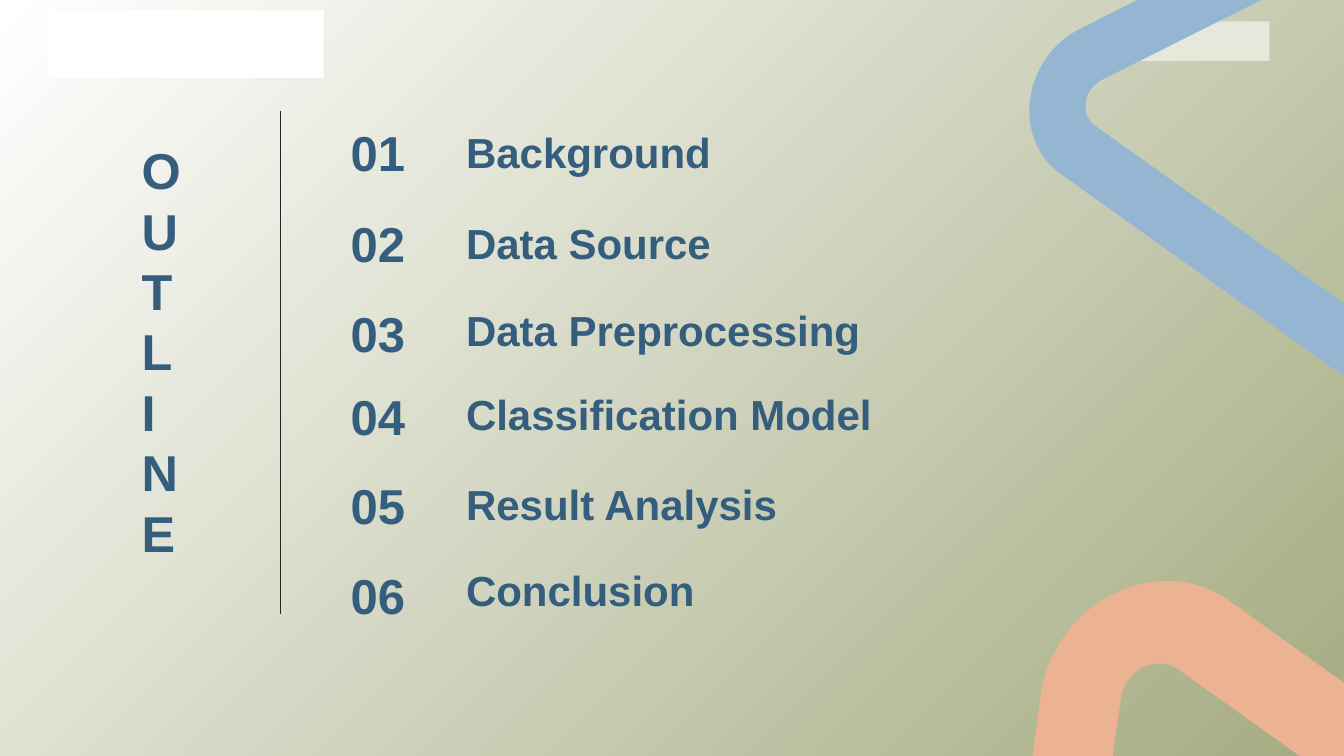
from lxml import etree
from pptx import Presentation
from pptx import util as u
from pptx.dml.color import RGBColor
from pptx.enum import shapes, text
from pptx.oxml.ns import qn

Pt = u.Pt
WIDTH, HEIGHT = 960, 540
NAVY = "355D7E"

# number top, heading top, heading width, heading
AGENDA = [
    (87.8, 90.7, 180, "Background"),
    (152.3, 155.2, 451, "Data Source"),
    (216.9, 217.4, 321, "Data Preprocessing"),
    (275.8, 277.6, 296, "Classification Model"),
    (339.5, 341.7, 230, "Result Analysis"),
    (403.9, 403.2, 170, "Conclusion"),
]

# Rounded corners of the triangular band: Bezier chains joined by straight sides
OUTER = [
    [(1108.8, -54), (1112.4, -76.3), (1102.3, -95.8), (1087.2, -106.6),
     (1072.1, -118.1), (1050.5, -120.2), (1030.3, -110.2)],
    [(769.7, 20.2), (728.6, 41), (720.7, 98.6), (756, 123.8)],
    [(977, 281.5), (1011.6, 306), (1063.4, 280.8), (1069.9, 234.7)],
]
INNER = [
    [(1030.3, 232.6), (1028.9, 241.9), (1023.1, 246.2), (1019.5, 248.4),
     (1015.2, 249.8), (1008.7, 252), (1001.5, 247)],
    [(780.5, 89.3), (773.3, 84.2), (773.3, 76.3), (774, 72.7),
     (774, 68.4), (776.9, 61.2), (784.8, 56.9)],
    [(1044.7, -73.4), (1053.4, -77.8), (1059.8, -74.9), (1062.7, -72.7),
     (1065.6, -70.6), (1070.6, -65.5), (1069.9, -56.2)],
]


def rgb(value):
    return RGBColor.from_string(value)


def paint(sp, color):
    sp.shadow.inherit = False
    sp.line.fill.background()
    sp.fill.solid()
    sp.fill.fore_color.rgb = rgb(color)


def add_rect(s, left, top, width, height, color):
    sp = s.shapes.add_shape(shapes.MSO_SHAPE.RECTANGLE,
                            Pt(left), Pt(top), Pt(width), Pt(height))
    paint(sp, color)
    return sp


def add_backdrop(s):
    sp = add_rect(s, 0, 0, WIDTH, HEIGHT, "FFFFFF")
    sp.fill.gradient()
    sp.fill.gradient_angle = 315
    for stop, color in zip(sp.fill.gradient_stops, ("FFFFFF", "A5AB81")):
        stop.color.rgb = rgb(color)


def add_label(s, left, top, width, height, content, size):
    sp = s.shapes.add_textbox(Pt(left), Pt(top), Pt(width), Pt(height))
    tf = sp.text_frame
    frame = dict(word_wrap=True, auto_size=text.MSO_AUTO_SIZE.NONE,
                 margin_left=0, margin_right=0, margin_top=0, margin_bottom=0)
    for name, value in frame.items():
        setattr(tf, name, value)
    p = tf.paragraphs[0]
    p.line_spacing = Pt(1.2 * size)
    r = p.add_run()
    r.text = content
    for name, value in dict(name="Arial", size=Pt(size), bold=True).items():
        setattr(r.font, name, value)
    r.font.color.rgb = rgb(NAVY)


def add_divider(s, x, top, bottom):
    line = s.shapes.add_connector(shapes.MSO_CONNECTOR.STRAIGHT,
                                  Pt(x), Pt(top), Pt(x), Pt(bottom))
    line.line.width = Pt(0.5)
    line.line.color.rgb = rgb("262626")
    etree.SubElement(line._element.spPr, qn("a:effectLst"))


def round_corners(sp, chains):
    """Turn the line segments inside each chain into cubic Bezier curves."""
    nodes = iter(list(sp._element.iter(qn("a:moveTo"), qn("a:lnTo"))))
    for chain in chains:
        next(nodes)
        for _ in range(len(chain) // 3):
            segments = [next(nodes) for _ in range(3)]
            curve = etree.Element(qn("a:cubicBezTo"))
            segments[0].addprevious(curve)
            for segment in segments:
                curve.append(segment[0])
                segment.getparent().remove(segment)


def add_band(s, color, scale, dx, dy):
    """Draw the rounded triangular band, scaled and then moved."""
    outer, inner = [[(Pt(dx + scale * x), Pt(dy + scale * y))
                     for chain in ring for x, y in chain]
                    for ring in (OUTER, INNER)]
    builder = s.shapes.build_freeform(*outer[0], scale=1.0)
    builder.add_line_segments(outer[1:], close=True)
    builder.move_to(*inner[0])
    builder.add_line_segments(inner[1:], close=True)
    sp = builder.convert_to_shape()
    round_corners(sp, OUTER + INNER)
    paint(sp, color)


def main():
    prs = Presentation()
    prs.slide_width, prs.slide_height = Pt(WIDTH), Pt(HEIGHT)
    s = prs.slides.add_slide(prs.slide_layouts[6])

    add_backdrop(s)
    for number, (num_top, top, width, heading) in enumerate(AGENDA, 1):
        add_label(s, 250.4, num_top, 39.6, 42.5, f"{number:02}", 35)
        add_label(s, 332.9, top, width, 36, heading, 30)
    # The narrow box wraps the word to one letter a line
    add_label(s, 101.1, 99.4, 28.8, 305.3, "OUTLINE", 36)
    add_divider(s, 200.2, 79.2, 438.5)
    add_rect(s, 34.8, 7.5, 196.5, 48.2, "FFFFFF")
    add_rect(s, 795.8, 15.3, 110.9, 28.2, "E6E8DC")
    add_band(s, "94B6D2", scale=1, dx=1.7, dy=0.5)
    add_band(s, "EBB391", scale=-1.44, dx=2284.2, dy=834.1)

    prs.save("out.pptx")


if __name__ == "__main__":
    main()
